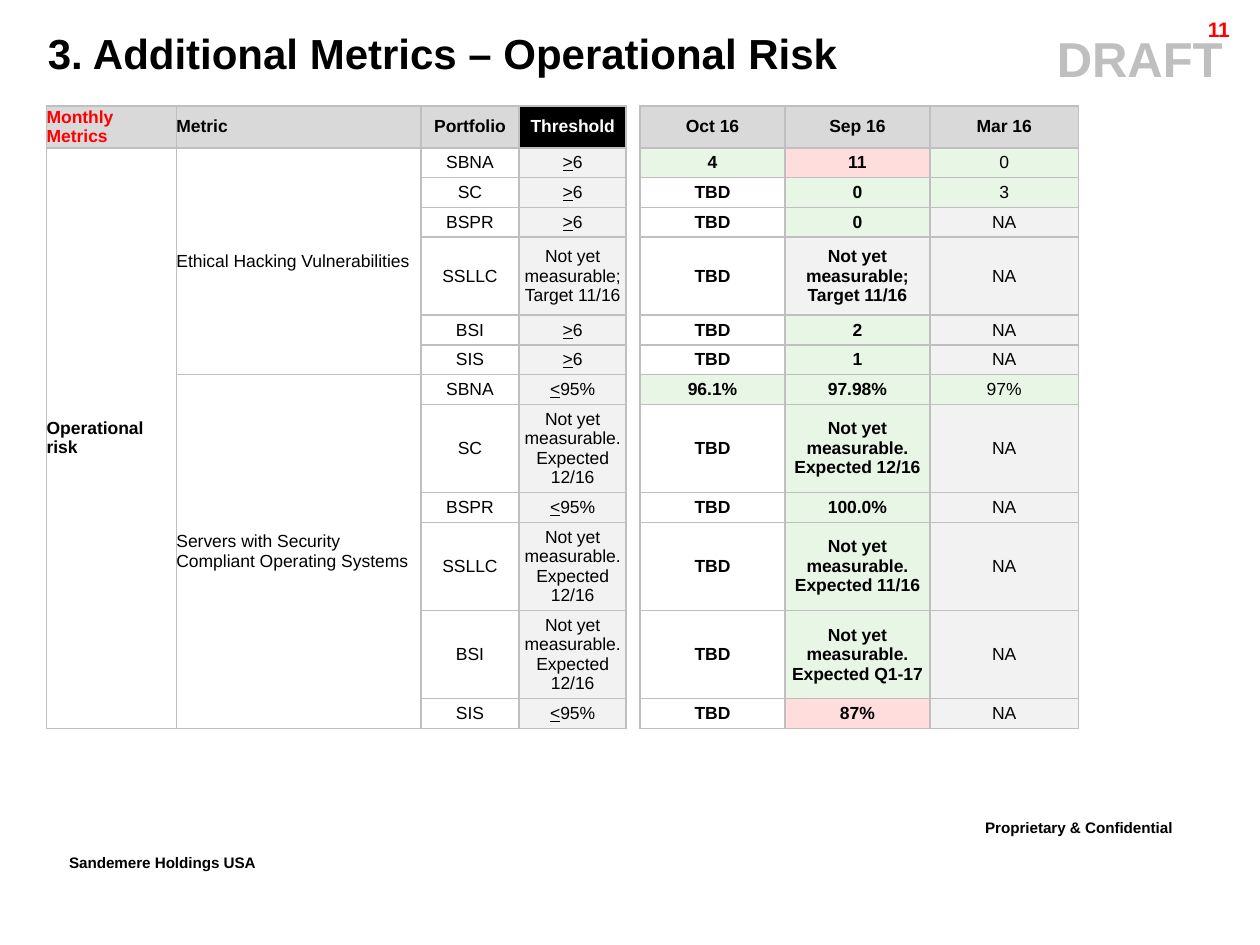
from lxml import etree
from pptx import Presentation
from pptx.dml.color import RGBColor
from pptx.enum.text import MSO_ANCHOR, PP_ALIGN
from pptx.oxml.ns import qn
from pptx.util import Inches, Pt

LEFT, CENTER, RIGHT = PP_ALIGN.LEFT, PP_ALIGN.CENTER, PP_ALIGN.RIGHT
MIDDLE, TOP = MSO_ANCHOR.MIDDLE, MSO_ANCHOR.TOP
BLACK = RGBColor(0x00, 0x00, 0x00)
WHITE = RGBColor(0xFF, 0xFF, 0xFF)
RED = RGBColor(0xFF, 0x00, 0x00)
SILVER = RGBColor(0xBF, 0xBF, 0xBF)
GREY = RGBColor(0xD9, 0xD9, 0xD9)
PALE = RGBColor(0xF2, 0xF2, 0xF2)
GREEN = RGBColor(0xE8, 0xF6, 0xE6)
PINK = RGBColor(0xFF, 0xDD, 0xDD)

WIDTHS = [1.03, 1.94, 0.78, 0.85, 0.11, 1.15, 1.15, 1.18]
GAP = 4
BOLD = {0, 5, 6}
HEADS = ["Monthly Metrics", "Metric", "Portfolio", "Threshold", "",
         "Oct 16", "Sep 16", "Mar 16"]
LATE = "Not yet measurable. Expected 12/16"
SOON = "Not yet\nmeasurable. Expected "
ALERTS = {"11", "87%"}
GROUPS = [
    ("Ethical Hacking Vulnerabilities", [
        ("SBNA", ">6", "4", "11", "0"),
        ("SC", ">6", "TBD", "0", "3"),
        ("BSPR", ">6", "TBD", "0", "NA"),
        ("SSLLC", "Not yet measurable; Target 11/16", "TBD",
         "Not yet\nmeasurable;\nTarget 11/16", "NA"),
        ("BSI", ">6", "TBD", "2", "NA"),
        ("SIS", ">6", "TBD", "1", "NA"),
    ]),
    ("Servers with Security Compliant Operating Systems", [
        ("SBNA", "<95%", "96.1%", "97.98%", "97%"),
        ("SC", LATE, "TBD", SOON + "12/16", "NA"),
        ("BSPR", "<95%", "TBD", "100.0%", "NA"),
        ("SSLLC", LATE, "TBD", SOON + "11/16", "NA"),
        ("BSI", LATE, "TBD", SOON + "Q1-17", "NA"),
        ("SIS", "<95%", "TBD", "87%", "NA"),
    ]),
]


def style(para, size, color=BLACK, bold=True, align=LEFT):
    para.alignment = align
    font = para.font
    font.name = "Arial"
    font.size = Pt(size)
    font.bold = bold
    font.color.rgb = color


def add_label(slide, box, text, size, color=BLACK, align=LEFT, wrap=True):
    frame = slide.shapes.add_textbox(*map(Inches, box)).text_frame
    frame.word_wrap = wrap
    para = frame.paragraphs[0]
    para.text = text
    style(para, size, color, align=align)
    return para


def add_footer(slide, box, text, wrap):
    para = add_label(slide, box, text, 15, wrap=wrap)
    para.runs[0]._r.get_or_add_rPr().set("baseline", "30000")


def add_title(slide, text):
    title = slide.shapes.title
    title.left, title.top = Inches(0.28), Inches(0.17)
    title.width, title.height = Inches(9.35), Inches(0.5)
    title.text_frame.vertical_anchor = TOP
    title.text_frame.text = text
    style(title.text_frame.paragraphs[0], 24)


def set_edges(cell, sides):
    props = cell._tc.get_or_add_tcPr()
    for side in "LRTB":
        line = etree.SubElement(props, qn("a:ln" + side), w=str(Pt(1)))
        if side in sides:
            fill = etree.SubElement(line, qn("a:solidFill"))
            etree.SubElement(fill, qn("a:srgbClr"), val=str(SILVER))
        else:
            etree.SubElement(line, qn("a:noFill"))


def pick_fill(row, col, text):
    if col == GAP:
        return None
    if row == 0:
        return BLACK if col == 3 else GREY
    if col < 3 or text == "TBD":
        return None
    if col == 3 or text == "NA" or "Target" in text:
        return PALE
    return PINK if text in ALERTS else GREEN


def pick_color(row, col):
    if row == 0:
        return {0: RED, 3: WHITE}.get(col, BLACK)
    return BLACK


def fill_cell(cell, row, col, text):
    cell.margin_left = cell.margin_right = 0
    cell.margin_top = cell.margin_bottom = 0
    cell.vertical_anchor = MIDDLE
    set_edges(cell, "LR" if col == GAP else "LRTB")
    fill = pick_fill(row, col, text)
    if fill is None:
        cell.fill.background()
    else:
        cell.fill.solid()
        cell.fill.fore_color.rgb = fill
    frame = cell.text_frame
    if text[:1] in ("<", ">"):
        para = frame.paragraphs[0]
        for part, mark in ((text[0], True), (text[1:], False)):
            run = para.add_run()
            run.text = part
            run.font.underline = mark
    elif text:
        frame.text = text
    for para in frame.paragraphs:
        style(para, 10, pick_color(row, col), row == 0 or col in BOLD,
              LEFT if col < 2 else CENTER)
        if not text:
            etree.SubElement(para._p, qn("a:endParaRPr"), sz="1000")


def list_rows():
    rows = [HEADS]
    for name, items in GROUPS:
        for spot, (unit, limit, *months) in enumerate(items):
            risk = "Operational risk" if len(rows) == 1 else ""
            metric = name if spot == 0 else ""
            rows.append([risk, metric, unit, limit, "", *months])
    return rows


def row_height(row, texts):
    if row == 0:
        return Inches(0.33)
    if texts[3] == LATE:
        return Inches(0.7)
    return Inches(0.62) if "Target" in texts[3] else Pt(17)


def add_grid(slide):
    rows = list_rows()
    table = slide.shapes.add_table(
        len(rows), len(WIDTHS), Inches(0.37), Inches(0.84),
        Inches(sum(WIDTHS)), Inches(4.93)).table
    table.first_row = table.horz_banding = False
    for col, width in enumerate(WIDTHS):
        table.columns[col].width = Inches(width)
    for row, texts in enumerate(rows):
        table.rows[row].height = row_height(row, texts)
        for col, text in enumerate(texts):
            fill_cell(table.cell(row, col), row, col, text)
    table.cell(1, 0).merge(table.cell(len(rows) - 1, 0))
    start = 1
    for _, items in GROUPS:
        end = start + len(items)
        table.cell(start, 1).merge(table.cell(end - 1, 1))
        start = end


def main():
    deck = Presentation()
    deck.slide_width, deck.slide_height = Inches(10), Inches(7.5)
    slide = deck.slides.add_slide(deck.slide_layouts[5])
    add_footer(slide, (7.72, 6.42, 2.18, 0.35), "Proprietary & Confidential", True)
    add_footer(slide, (0.45, 6.7, 1.91, 0.35), "Sandemere Holdings USA", False)
    draft = add_label(slide, (1.15, 0.18, 8.79, 0.57), "DRAFT", 28, SILVER, CENTER)
    draft._p.get_or_add_pPr().set("marL", str(Inches(7)))
    page = add_label(slide, (8.91, 0.11, 0.95, 0.24), "11", 12, RED, RIGHT)
    page.line_spacing = 0.86
    add_title(slide, "3. Additional Metrics – Operational Risk")
    add_grid(slide)
    deck.save("out.pptx")


if __name__ == "__main__":
    main()
